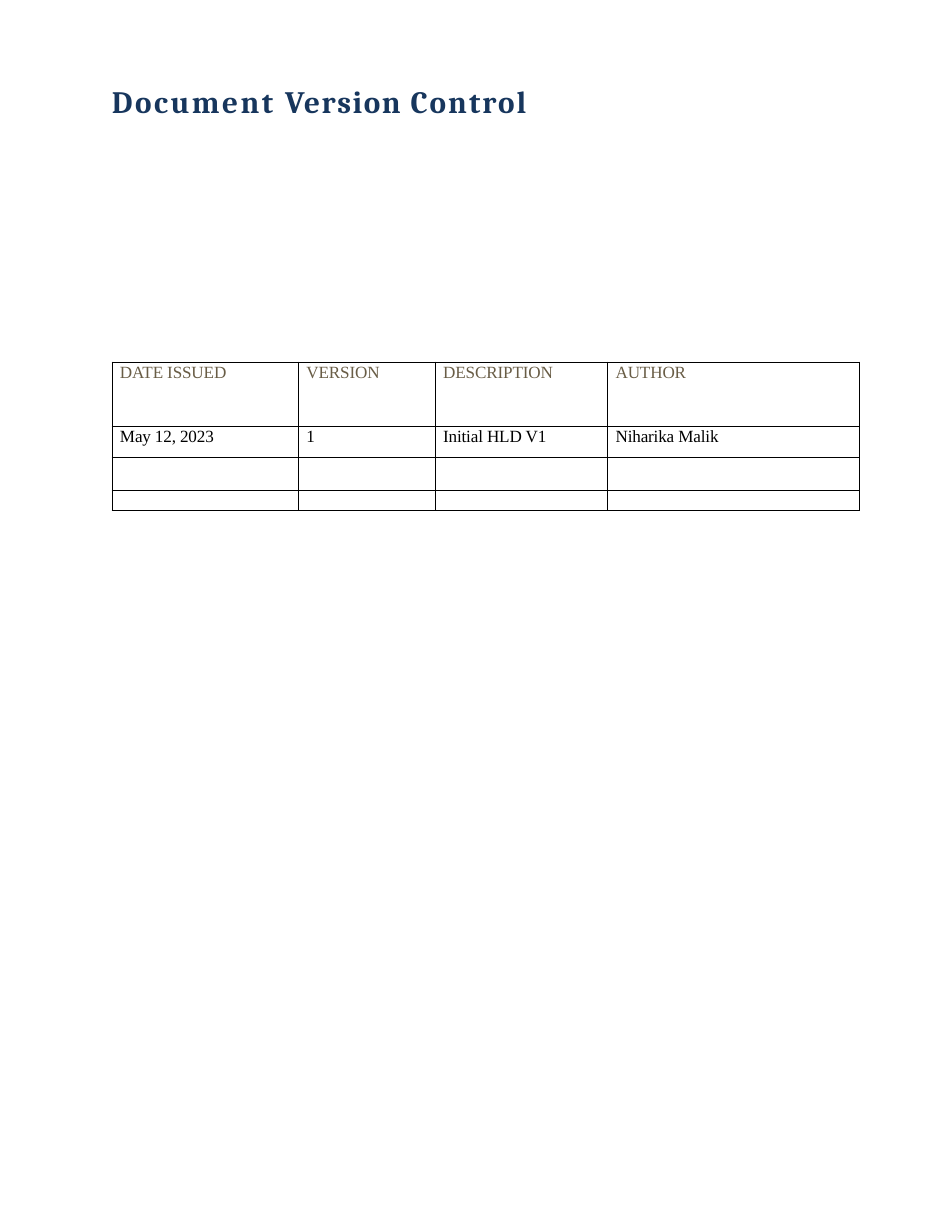
from lxml import etree
from pptx import Presentation
from pptx.dml.color import RGBColor
from pptx.enum.text import MSO_AUTO_SIZE
from pptx.oxml.ns import qn
from pptx.util import Cm, Pt

FIT_SHAPE = MSO_AUTO_SIZE.SHAPE_TO_FIT_TEXT

COLORS = {"title": "17365D", "header": "695D46", "body": "000000", "border": "000000"}

# Title words with their letter spacing in points
TITLE = [("Document ", 1.6), ("Version ", 1), ("Control", 1.3)]

VERSIONS = [
    ("DATE ISSUED", "VERSION", "DESCRIPTION", "AUTHOR"),
    ("May 12, 2023", "1", "Initial HLD V1", "Niharika Malik"),
    ("", "", "", ""),
    ("", "", "", ""),
]
COLUMN_WIDTHS = [4.23, 3.1, 3.91, 5.7]
ROW_HEIGHTS = [1.46, 0.7, 0.75, 0.46]


def style_run(run, font_name, size, color, spacing=0):
    run.font.name = font_name
    run.font.size = Pt(size)
    run.font.color.rgb = RGBColor.from_string(COLORS[color])
    run.font._element.set("spc", str(round(spacing * 100)))


def add_borders(cell):
    properties = cell._tc.get_or_add_tcPr()
    for side in ("a:lnL", "a:lnR", "a:lnT", "a:lnB"):
        line = etree.SubElement(properties, qn(side), w=str(Pt(0.5)))
        fill = etree.SubElement(line, qn("a:solidFill"))
        etree.SubElement(fill, qn("a:srgbClr"), val=COLORS["border"])


def add_title(slide):
    box = slide.shapes.add_textbox(Cm(2.51), Cm(1.83), Cm(9.88), Cm(0.91))
    frame = box.text_frame
    frame.word_wrap = True
    frame.auto_size = FIT_SHAPE
    frame.margin_left = frame.margin_right = frame.margin_bottom = 0
    frame.margin_top = Cm(0.03)
    title = frame.paragraphs[0]
    title.space_before = Pt(1)
    title._p.get_or_add_pPr().set("marL", str(Cm(0.03)))
    for word, spacing in TITLE:
        run = title.add_run()
        run.text = word
        style_run(run, "Cambria", 20, "title", spacing)
        run.font.bold = True


def fill_cell(cell, text, color):
    add_borders(cell)
    cell.fill.background()
    cell.margin_left = Cm(0.18)
    cell.margin_right = cell.margin_top = cell.margin_bottom = 0
    paragraph = cell.text_frame.paragraphs[0]
    if text:
        paragraph.text = text
        paragraph.line_spacing = Pt(12.7)
        style_run(paragraph.runs[0], "Times New Roman", 11, color, -0.1)
    else:
        # A small end mark keeps an empty row from growing
        etree.SubElement(paragraph._p, qn("a:endParaRPr"), sz="1000")


def add_version_table(slide):
    table = slide.shapes.add_table(
        len(VERSIONS), len(COLUMN_WIDTHS), Cm(2.54), Cm(8.21),
        Cm(sum(COLUMN_WIDTHS)), Cm(sum(ROW_HEIGHTS))).table
    table.first_row = table.horz_banding = False
    for column, width in zip(table.columns, COLUMN_WIDTHS):
        column.width = Cm(width)
    for row, height, texts in zip(table.rows, ROW_HEIGHTS, VERSIONS):
        row.height = Cm(height)
        color = "header" if texts is VERSIONS[0] else "body"
        for cell, text in zip(row.cells, texts):
            fill_cell(cell, text, color)


def main():
    deck = Presentation()
    deck.slide_width, deck.slide_height = Cm(21.59), Cm(27.94)
    slide = deck.slides.add_slide(deck.slide_layouts[6])
    add_title(slide)
    add_version_table(slide)
    deck.save("out.pptx")


if __name__ == "__main__":
    main()
